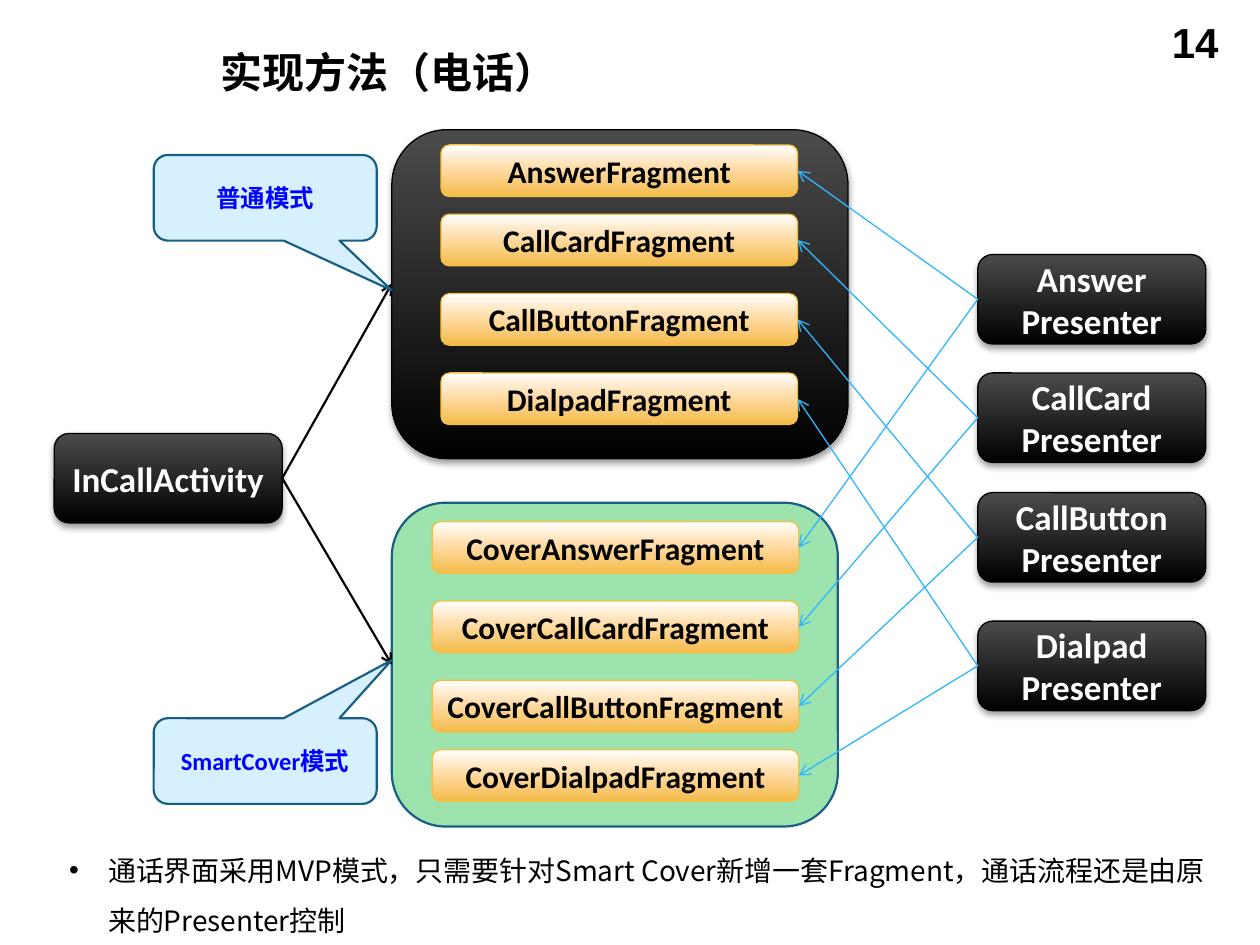
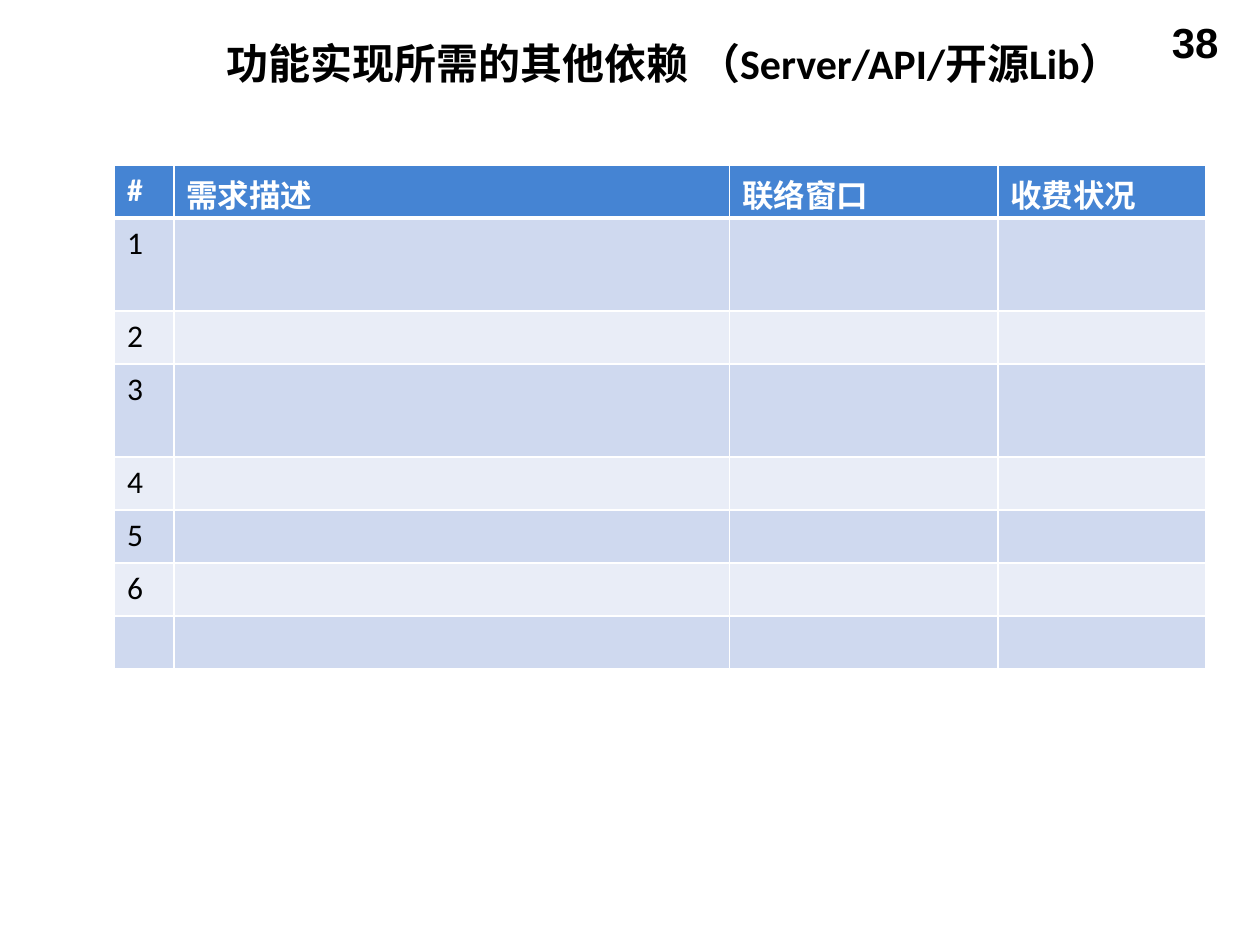
from lxml import etree
from pptx import Presentation
from pptx.dml.color import RGBColor
from pptx.enum.shapes import MSO_CONNECTOR, MSO_SHAPE
from pptx.enum.text import MSO_ANCHOR, PP_ALIGN
from pptx.oxml.ns import qn
from pptx.util import Inches, Pt

ROUNDED = MSO_SHAPE.ROUNDED_RECTANGLE
CALLOUT = MSO_SHAPE.ROUNDED_RECTANGULAR_CALLOUT
STRAIGHT = MSO_CONNECTOR.STRAIGHT
LEFT, CENTER, RIGHT = PP_ALIGN.LEFT, PP_ALIGN.CENTER, PP_ALIGN.RIGHT
TOP, MIDDLE = MSO_ANCHOR.TOP, MSO_ANCHOR.MIDDLE
LEFT_SITE, RIGHT_SITE = 1, 3  # connection sites of a rounded rectangle

# The slide is a grid of 100 columns by 75 rows
WIDTH, HEIGHT = Inches(10), Inches(7.5)
COLUMNS, ROWS = 100, 75

LATIN, CJK, NUMBER_FONT = "Calibri", "Noto Sans CJK SC", "Arial"
COLORS = {
    "black": "000000", "white": "FFFFFF", "blue": "0000FF",
    "cover": "9DE3AE", "callout": "D6F0FF", "outline": "195F84",
    "gold": "F5C040", "link": "31B6FD",
    "header": "4584D3", "odd": "CFD9EF", "even": "E9EDF7",
}
DARK_STOPS = ((0, "4B4B4B"), (100, "000000"))
GOLD_STOPS = ((0, "FFFFFF"), (44, "FFDDAA"), (100, "F4BB4A"))


def col(n):
    return round(WIDTH * n / COLUMNS)


def row(n):
    return round(HEIGHT * n / ROWS)


def box(left, top, width, height):
    return col(left), row(top), col(width), row(height)


def rgb(name):
    return RGBColor.from_string(COLORS[name])


def add_xml(parent, tag, **attributes):
    return etree.SubElement(parent, qn(tag), attributes)


# Text

def write_text(frame, text, *, size, color="black", font=LATIN, bold=True,
               align=LEFT, anchor=TOP, spacing=None, bullet=None):
    frame.word_wrap = True
    frame.vertical_anchor = anchor
    for index, line in enumerate(text.split("\n")):
        paragraph = frame.add_paragraph() if index else frame.paragraphs[0]
        if bullet:
            properties = paragraph._p.get_or_add_pPr()
            properties.set("marL", str(Inches(0.81)))
            properties.set("indent", str(Inches(-0.31)))
            add_xml(properties, "a:buFont", typeface=NUMBER_FONT)
            add_xml(properties, "a:buChar", char=bullet)
        paragraph.alignment = align
        if spacing:
            paragraph.line_spacing = spacing
        run = paragraph.add_run()
        run.text = line
        run.font.size = Pt(size)
        run.font.bold = bold
        run.font.name = font
        run.font.color.rgb = rgb(color)
        add_xml(run._r.get_or_add_rPr(), "a:ea", typeface=CJK)


def add_text(slide, place, text, **fmt):
    write_text(slide.shapes.add_textbox(*box(*place)).text_frame, text, **fmt)


def start_slide(deck, number, title, place, anchor):
    slide = deck.slides.add_slide(deck.slide_layouts[6])
    add_text(slide, (74.4, 0.8, 23.3, 5.2), number,
             size=24, font=NUMBER_FONT, align=RIGHT)
    add_text(slide, place, title, size=24, anchor=anchor)
    return slide


# Diagram parts

def fill_gradient(shape, stops):
    shape.fill.background()
    plain = shape._element.spPr.find(qn("a:noFill"))
    gradient = etree.Element(qn("a:gradFill"), rotWithShape="1")
    stop_list = add_xml(gradient, "a:gsLst")
    for position, color in stops:
        stop = add_xml(stop_list, "a:gs", pos=str(position * 1000))
        add_xml(stop, "a:srgbClr", val=color)
    add_xml(gradient, "a:lin", ang="5400000", scaled="0")
    plain.getparent().replace(plain, gradient)


def drop_shadow(shape):
    effects = shape._element.spPr.find(qn("a:effectLst"))
    shadow = add_xml(effects, "a:outerShdw", blurRad=str(Pt(4)),
                     dist=str(Pt(2)), dir="5400000", rotWithShape="0")
    color = add_xml(shadow, "a:srgbClr", val=COLORS["black"])
    add_xml(color, "a:alpha", val="38000")


def add_block(slide, kind, place, line, weight, text="", **fmt):
    shape = slide.shapes.add_shape(kind, *box(*place))
    shape.shadow.inherit = False
    shape.line.color.rgb = rgb(line)
    shape.line.width = Pt(weight)
    if text:
        frame = shape.text_frame
        frame.margin_left = frame.margin_right = col(0.2)
        write_text(frame, text, align=CENTER, anchor=MIDDLE, **fmt)
    return shape


def add_dark_block(slide, place, text=""):
    block = add_block(slide, ROUNDED, place, "black", 0.75, text,
                      size=20, color="white")
    fill_gradient(block, DARK_STOPS)
    drop_shadow(block)
    return block


def add_fragment(slide, place, text):
    fragment = add_block(slide, ROUNDED, place, "gold", 0.75, text, size=18)
    fill_gradient(fragment, GOLD_STOPS)
    return fragment


def add_callout(slide, top, text, pointer):
    callout = add_block(slide, CALLOUT, (12.2, top, 17.7, 6.8), "outline",
                        1.25, text, size=14, color="blue")
    callout.fill.solid()
    callout.fill.fore_color.rgb = rgb("callout")
    callout.adjustments[0] = 0.567
    callout.adjustments[1] = pointer


def add_arrow(slide, source, target, source_site, target_site, color, weight,
              end_row=None):
    arrow = slide.shapes.add_connector(STRAIGHT, 0, 0, 0, 0)
    arrow.begin_connect(source, source_site)
    if end_row is None:
        arrow.end_connect(target, target_site)
    else:
        arrow.end_x, arrow.end_y = target.left, row(end_row)
    arrow.line.color.rgb = rgb(color)
    arrow.line.width = Pt(weight)
    properties = arrow._element.spPr
    add_xml(properties.find(qn("a:ln")), "a:tailEnd", type="arrow")
    add_xml(properties, "a:effectLst")


# Table

def set_borders(cell, bottom, top):
    properties = cell._tc.get_or_add_tcPr()
    sides = (("a:lnL", 1), ("a:lnR", 1), ("a:lnT", top), ("a:lnB", bottom))
    for tag, weight in sides:
        border = add_xml(properties, tag, w=str(Pt(weight)))
        add_xml(add_xml(border, "a:solidFill"), "a:srgbClr",
                val=COLORS["white"])


def add_dependency_table(slide, place, headings, widths, heights):
    table = slide.shapes.add_table(len(heights), len(widths),
                                   *box(*place)).table
    for column, width in zip(table.columns, widths):
        column.width = col(width)
    for r, height in enumerate(heights):
        table.rows[r].height = row(height)
        last = r == len(heights) - 1
        numbers = [""] if last else [str(r)]
        texts = numbers + [""] * (len(widths) - 1) if r else headings
        band = ("odd" if r % 2 else "even") if r else "header"
        for c, text in enumerate(texts):
            cell = table.cell(r, c)
            set_borders(cell, bottom=1 if r else 3, top=3 if r == 1 else 1)
            cell.fill.solid()
            cell.fill.fore_color.rgb = rgb(band)
            if text:
                write_text(cell.text_frame, text, size=18, bold=not r,
                           color="black" if r else "white")


# Slides

def build_call_slide(deck):
    slide = start_slide(deck, "14", "实现方法（电话）",
                        (16.5, 3, 78.5, 5.4), MIDDLE)
    normal_panel = add_dark_block(slide, (31.1, 10.3, 36.2, 26.1))
    cover_panel = add_block(slide, ROUNDED, (31.1, 39.9, 35.4, 25.7),
                            "outline", 1.25)
    cover_panel.fill.solid()
    cover_panel.fill.fore_color.rgb = rgb("cover")
    activity = add_dark_block(slide, (4.3, 34.4, 18.1, 7.1), "InCallActivity")

    # Each presenter drives a normal fragment and a cover fragment
    features = (  # name, row of presenter, normal fragment, cover fragment
        ("Answer", 20.2, 11.5, 41.4),
        ("CallCard", 29.6, 17, 47.7),
        ("CallButton", 39.1, 23.3, 54),
        ("Dialpad", 49.3, 29.6, 59.5),
    )
    for name, presenter_row, normal_row, cover_row in features:
        presenter = add_dark_block(slide, (77.6, presenter_row, 18.1, 7.1),
                                   f"{name}\nPresenter")
        normal = add_fragment(slide, (35, normal_row, 28.3, 4.1),
                              f"{name}Fragment")
        cover = add_fragment(slide, (34.3, cover_row, 29.1, 4.1),
                             f"Cover{name}Fragment")
        for fragment in (normal, cover):
            add_arrow(slide, presenter, fragment, LEFT_SITE, RIGHT_SITE,
                      "link", 0.75)

    # The activity chooses between the two modes
    for panel, end_row in ((normal_panel, 22.5), (cover_panel, None)):
        add_arrow(slide, activity, panel, RIGHT_SITE, LEFT_SITE,
                  "black", 1.25, end_row)
    add_callout(slide, 12.3, "普通模式", 1.08)
    add_callout(slide, 57, "SmartCover模式", -1.178)

    add_text(slide, (-0.5, 65.9, 98.8, 9.1),
             "通话界面采用MVP模式，只需要针对Smart Cover新增一套Fragment，"
             "通话流程还是由原来的Presenter控制",
             size=16, font=CJK, bold=False, spacing=1.5, bullet="•")


def build_dependency_slide(deck):
    slide = start_slide(deck, "38",
                        "功能实现所需的其他依赖 （Server/API/开源Lib）",
                        (17, 2.5, 76.3, 5), TOP)
    add_dependency_table(slide, (9.1, 13.1, 86.6, 40.2),
                         ["#", "需求描述", "联络窗口", "收费状况"],
                         widths=(4.7, 44.1, 21.3, 16.5),
                         heights=(4.2, 7.4, 4.2, 7.4, 4.2, 4.2, 4.2, 4.2))


def main():
    deck = Presentation()
    deck.slide_width, deck.slide_height = WIDTH, HEIGHT
    build_call_slide(deck)
    build_dependency_slide(deck)
    deck.save("out.pptx")


if __name__ == "__main__":
    main()
